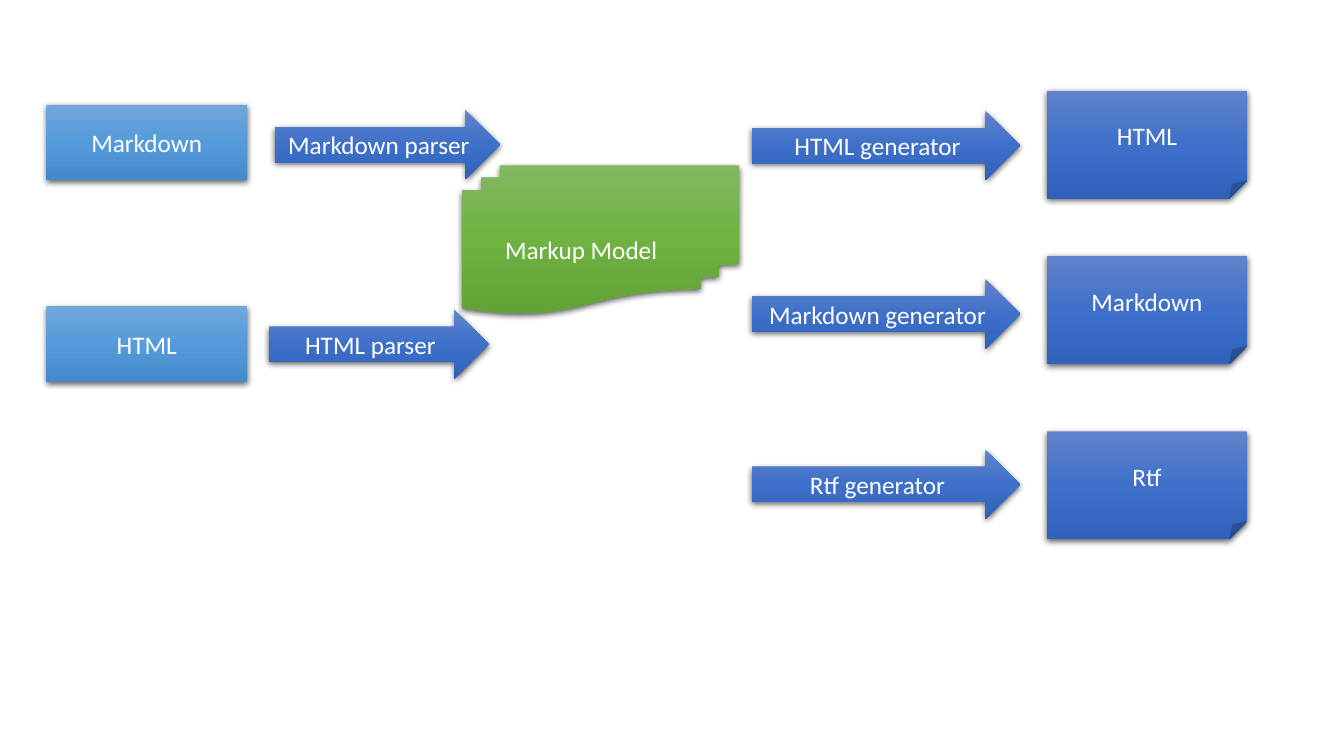
import copy
import lxml.etree
import pptx
import pptx.util
import pptx.dml.color
import pptx.enum.shapes
import pptx.enum.text
import pptx.oxml.ns

Inches = pptx.util.Inches
Kind = pptx.enum.shapes.MSO_SHAPE
qn = pptx.oxml.ns.qn

COLORS = {
    "input": ("71A6DB", "559BDB", "448ACA"),
    "model": ("81B861", "6FB242", "62A336"),
    "output": ("6183CB", "3E70CA", "3062BB"),
    "text": "FFFFFF",
    "shadow": "000000",
}
INPUTS = [("Markdown", 1.04), ("HTML", 3.04)]
OUTPUTS = [("HTML", 0.9), ("Markdown", 2.54), ("Rtf", 4.28)]
PARSERS = [("Markdown parser", 2.73, 1.09, 2.23), ("HTML parser", 2.67, 3.07, 2.18)]
GENERATORS = [("HTML generator", 1.1), ("Markdown generator", 2.77), ("Rtf generator", 4.46)]
BOX_WIDTH = 1.99
ARROW_HEIGHT = 0.69


def paint_gradient(shape, colors):
    shape.fill.gradient()
    shape.fill.gradient_angle = 270
    stop_list = shape._element.spPr.find(qn("a:gradFill")).find(qn("a:gsLst"))
    stop_list.append(copy.deepcopy(stop_list[-1]))
    for stop, position, color in zip(shape.fill.gradient_stops, (0, 0.5, 1), colors):
        stop.position = position
        stop.color.rgb = pptx.dml.color.RGBColor.from_string(color)


def cast_shadow(shape):
    shape.shadow.inherit = False
    effects = shape._element.spPr.find(qn("a:effectLst"))
    outer = lxml.etree.SubElement(
        effects, qn("a:outerShdw"), blurRad=str(pptx.util.Pt(4.5)),
        dist=str(pptx.util.Pt(1.5)), dir="5400000", algn="ctr", rotWithShape="0")
    color = lxml.etree.SubElement(outer, qn("a:srgbClr"), val=COLORS["shadow"])
    lxml.etree.SubElement(color, qn("a:alpha"), val="63000")


def add_block(page, kind, palette, label, left, top, width, height):
    shape = page.shapes.add_shape(
        kind, Inches(left), Inches(top), Inches(width), Inches(height))
    paint_gradient(shape, COLORS[palette])
    shape.line.fill.background()
    cast_shadow(shape)
    frame = shape.text_frame
    frame.text = label
    frame.word_wrap = True
    frame.vertical_anchor = pptx.enum.text.MSO_ANCHOR.MIDDLE
    para = frame.paragraphs[0]
    para.alignment = pptx.enum.text.PP_ALIGN.CENTER
    font = para.runs[0].font
    font.name = "Calibri"
    font.size = pptx.util.Pt(18)
    font.color.rgb = pptx.dml.color.RGBColor.from_string(COLORS["text"])


deck = pptx.Presentation()
deck.slide_width = Inches(13.33)
deck.slide_height = Inches(7.5)
page = deck.slides.add_slide(deck.slide_layouts[6])

for label, top in INPUTS:
    add_block(page, Kind.RECTANGLE, "input", label, 0.46, top, BOX_WIDTH, 0.75)
add_block(page, Kind.FLOWCHART_MULTIDOCUMENT, "model", "Markup Model", 4.58, 1.64, 2.75, 1.47)
for label, top in OUTPUTS:
    add_block(page, Kind.FOLDED_CORNER, "output", label, 10.38, top, BOX_WIDTH, 1.07)
for label, left, top, width in PARSERS:
    add_block(page, Kind.RIGHT_ARROW, "output", label, left, top, width, ARROW_HEIGHT)
for label, top in GENERATORS:
    add_block(page, Kind.RIGHT_ARROW, "output", label, 7.46, top, 2.66, ARROW_HEIGHT)

deck.save("out.pptx")
